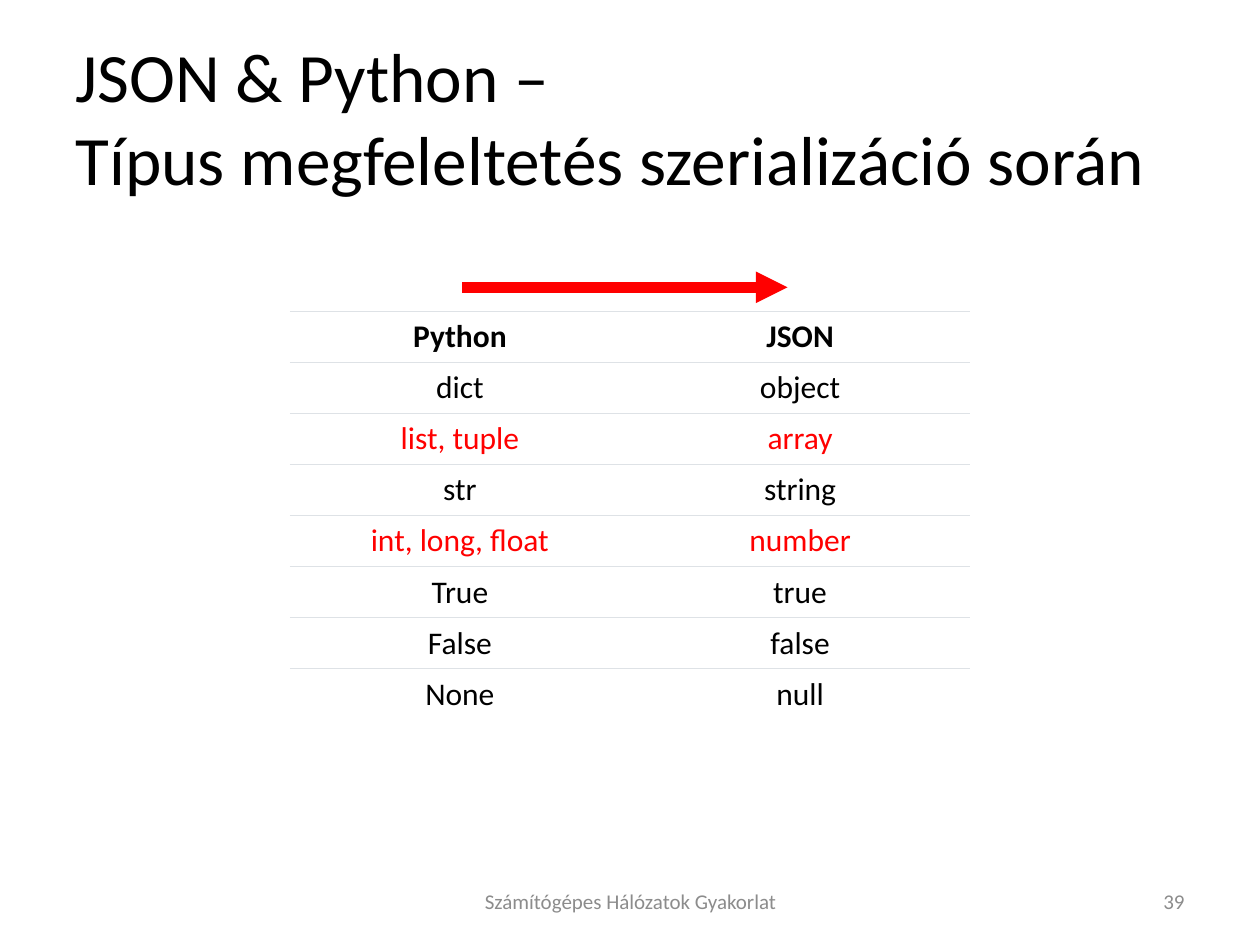
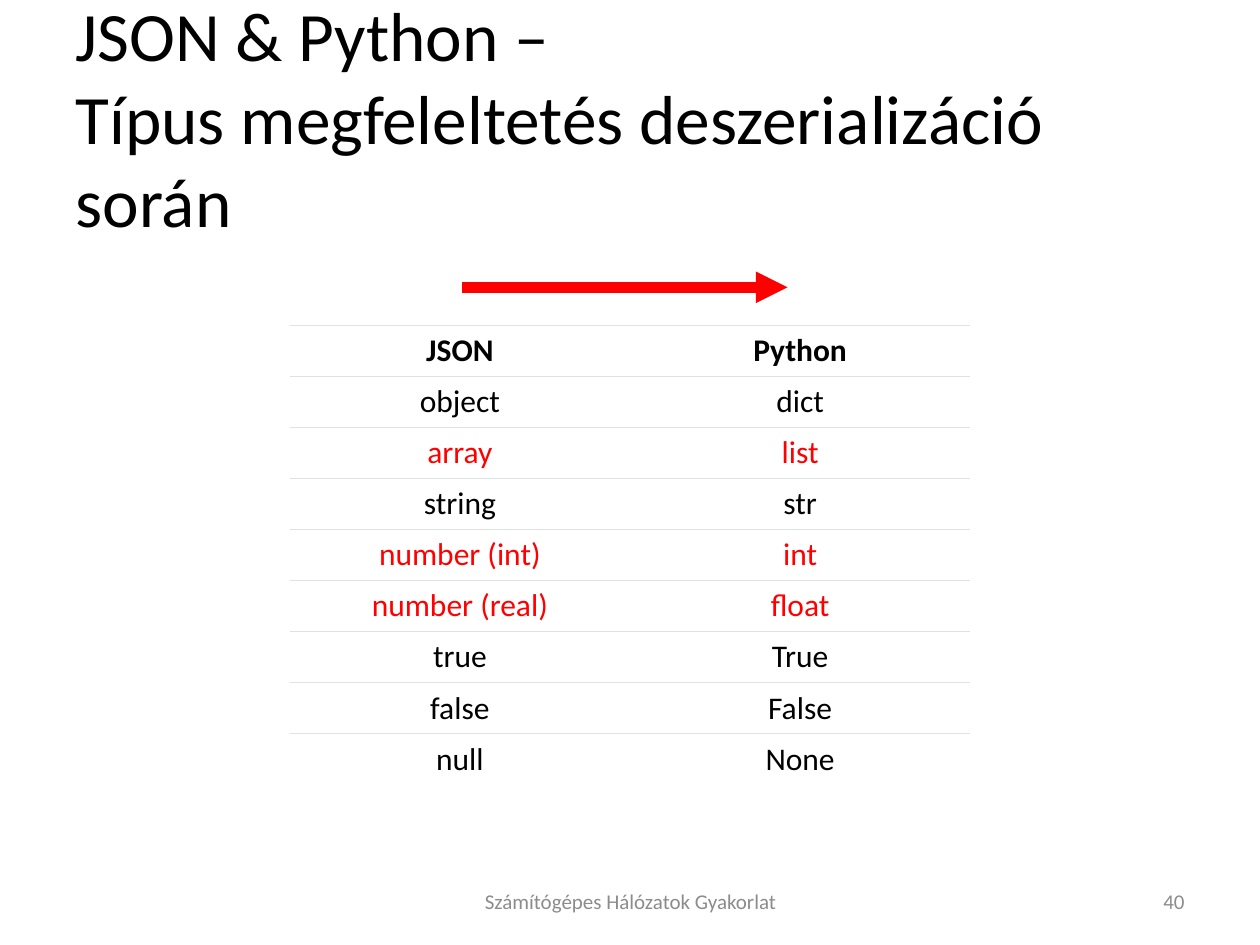
"""Build two slides that map types between Python and JSON."""
from dataclasses import dataclass

from lxml.etree import SubElement
from pptx import Presentation
from pptx.dml.color import RGBColor
from pptx.enum.shapes import MSO_CONNECTOR
from pptx.enum.text import MSO_ANCHOR as Anchor, MSO_AUTO_SIZE as AutoSize, PP_ALIGN as Align
from pptx.oxml.ns import qn
from pptx.util import Inches, Pt

COLORS = {
    "paper": "FFFFFF",
    "text": "000000",
    "accent": "FF0000",
    "rule": "DEE2E6",
    "footer": "8C8C8C",
}
FONT = "Calibri"
COURSE = "Számítógépes Hálózatok Gyakorlat"
TITLE_ONLY = 5
COLUMN_WIDTH = 2.7
ROW_HEIGHT = 0.4


@dataclass(frozen=True)
class Pair:
    source: str
    target: str
    differs: bool = False


@dataclass(frozen=True)
class Mapping:
    title: tuple[str, str]
    number: int
    table_top: float
    header: Pair
    pairs: tuple[Pair, ...]


@dataclass(frozen=True)
class FooterItem:
    left: float
    width: float
    align: Align


COURSE_FOOTER = FooterItem(3.42, 3.17, Align.CENTER)
NUMBER_FOOTER = FooterItem(7.17, 2.33, Align.RIGHT)

MAPPINGS = (
    Mapping(
        ("JSON & Python – ", "Típus megfeleltetés szerializáció során"),
        39,
        2.47,
        Pair("Python", "JSON"),
        (
            Pair("dict", "object"),
            Pair("list, tuple", "array", True),
            Pair("str", "string"),
            Pair("int, long, float", "number", True),
            Pair("True", "true"),
            Pair("False", "false"),
            Pair("None", "null"),
        ),
    ),
    Mapping(
        ("JSON & Python –", "Típus megfeleltetés deszerializáció során"),
        40,
        2.58,
        Pair("JSON", "Python"),
        (
            Pair("object", "dict"),
            Pair("array", "list", True),
            Pair("string", "str"),
            Pair("number (int)", "int", True),
            Pair("number (real)", "float", True),
            Pair("true", "True"),
            Pair("false", "False"),
            Pair("null", "None"),
        ),
    ),
)


def rgb(color: str) -> RGBColor:
    return RGBColor.from_string(COLORS[color])


def add_run(paragraph, text: str, size: float, color: str = "text", bold: bool = False) -> None:
    run = paragraph.add_run()
    run.text = text
    run.font.name = FONT
    run.font.size = Pt(size)
    run.font.bold = bold
    run.font.color.rgb = rgb(color)


def set_title(slide, lines: tuple[str, str]) -> None:
    title = slide.shapes.title
    title.left, title.top = Inches(0.5), Inches(0.3)
    title.width, title.height = Inches(9), Inches(1.25)
    frame = title.text_frame
    frame.auto_size = AutoSize.NONE
    frame.word_wrap = True
    frame.vertical_anchor = Anchor.MIDDLE
    paragraph = frame.paragraphs[0]
    paragraph.alignment = Align.LEFT
    first, second = lines
    add_run(paragraph, first, 39.6)
    paragraph.add_line_break()
    add_run(paragraph, second, 39.6)


def add_footer(slide, item: FooterItem, text: str) -> None:
    box = slide.shapes.add_textbox(Inches(item.left), Inches(6.95), Inches(item.width), Inches(0.4))
    frame = box.text_frame
    frame.word_wrap = True
    frame.vertical_anchor = Anchor.MIDDLE
    paragraph = frame.paragraphs[0]
    paragraph.alignment = item.align
    add_run(paragraph, text, 12, "footer")


def add_direction_arrow(slide) -> None:
    arrow = slide.shapes.add_connector(
        MSO_CONNECTOR.STRAIGHT, Inches(3.67), Inches(2.28), Inches(6.25), Inches(2.28)
    )
    arrow.line.color.rgb = rgb("accent")
    arrow.line.width = Pt(6)
    SubElement(arrow.line._get_or_add_ln(), qn("a:tailEnd"), type="triangle")
    SubElement(arrow._element.spPr, qn("a:effectLst"))


def set_borders(cell, is_last: bool) -> None:
    properties = cell._tc.get_or_add_tcPr()
    ruled = {"lnL": False, "lnR": False, "lnT": True, "lnB": not is_last}
    for side, visible in ruled.items():
        border = SubElement(properties, qn(f"a:{side}"), w=str(Pt(0.75)))
        if visible:
            fill = SubElement(border, qn("a:solidFill"))
            SubElement(fill, qn("a:srgbClr"), val=COLORS["rule"])
        else:
            SubElement(border, qn("a:noFill"))


def fill_cell(cell, text: str, color: str, is_header: bool, is_last: bool) -> None:
    set_borders(cell, is_last)
    cell.fill.solid()
    cell.fill.fore_color.rgb = rgb("paper")
    cell.margin_left = cell.margin_right = Inches(0.07)
    cell.margin_top = cell.margin_bottom = Inches(0.05)
    cell.vertical_anchor = Anchor.BOTTOM if is_header else Anchor.TOP
    paragraph = cell.text_frame.paragraphs[0]
    paragraph.alignment = Align.CENTER
    add_run(paragraph, text, 18, color, is_header)


def add_type_table(slide, mapping: Mapping) -> None:
    pairs = (mapping.header, *mapping.pairs)
    table = slide.shapes.add_table(
        len(pairs), 2, Inches(2.3), Inches(mapping.table_top),
        Inches(2 * COLUMN_WIDTH), Inches(ROW_HEIGHT * len(pairs)),
    ).table
    table.first_row = table.horz_banding = False
    for row, pair in enumerate(pairs):
        color = "accent" if pair.differs else "text"
        for column, text in enumerate((pair.source, pair.target)):
            fill_cell(table.cell(row, column), text, color, row == 0, row == len(pairs) - 1)


def add_mapping_slide(deck, mapping: Mapping) -> None:
    slide = deck.slides.add_slide(deck.slide_layouts[TITLE_ONLY])
    slide.background.fill.solid()
    slide.background.fill.fore_color.rgb = rgb("paper")
    set_title(slide, mapping.title)
    add_type_table(slide, mapping)
    add_direction_arrow(slide)
    add_footer(slide, COURSE_FOOTER, COURSE)
    add_footer(slide, NUMBER_FOOTER, str(mapping.number))


def main() -> None:
    deck = Presentation()
    deck.slide_width, deck.slide_height = Inches(10), Inches(7.5)
    for mapping in MAPPINGS:
        add_mapping_slide(deck, mapping)
    deck.save("out.pptx")


if __name__ == "__main__":
    main()
